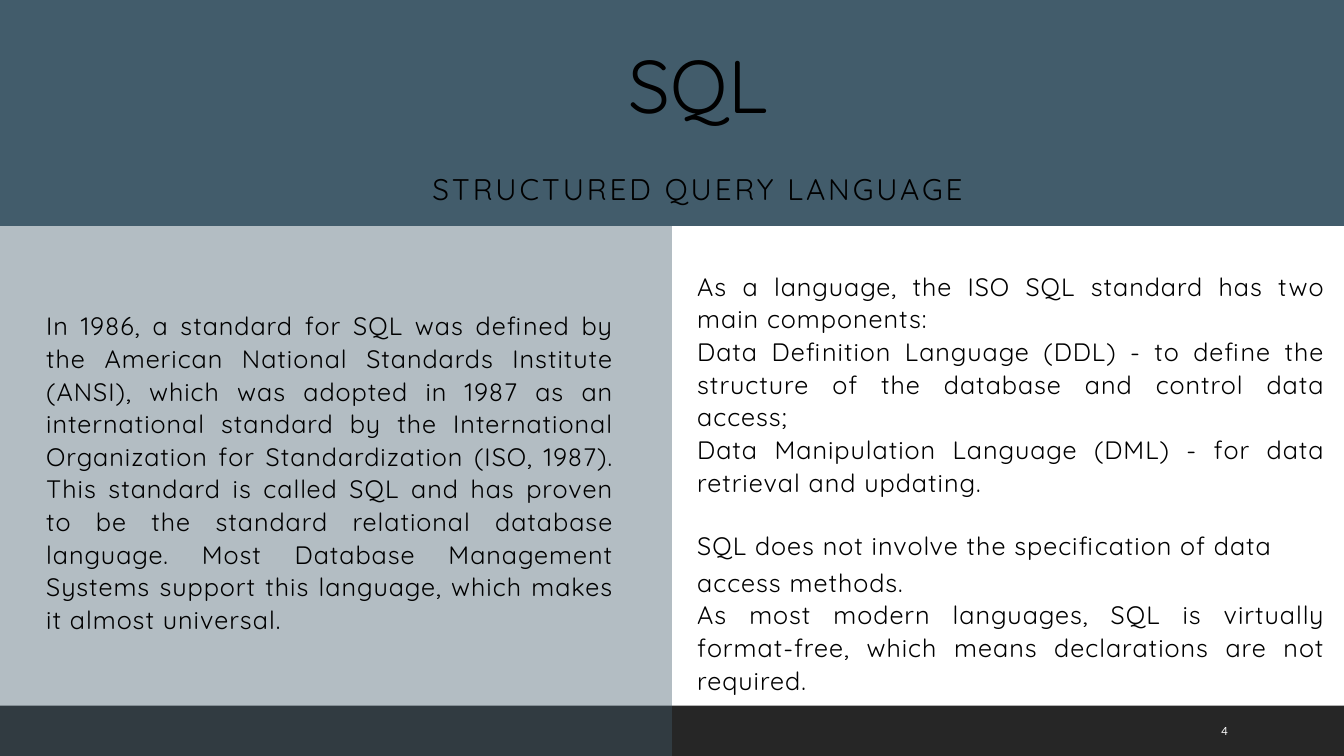
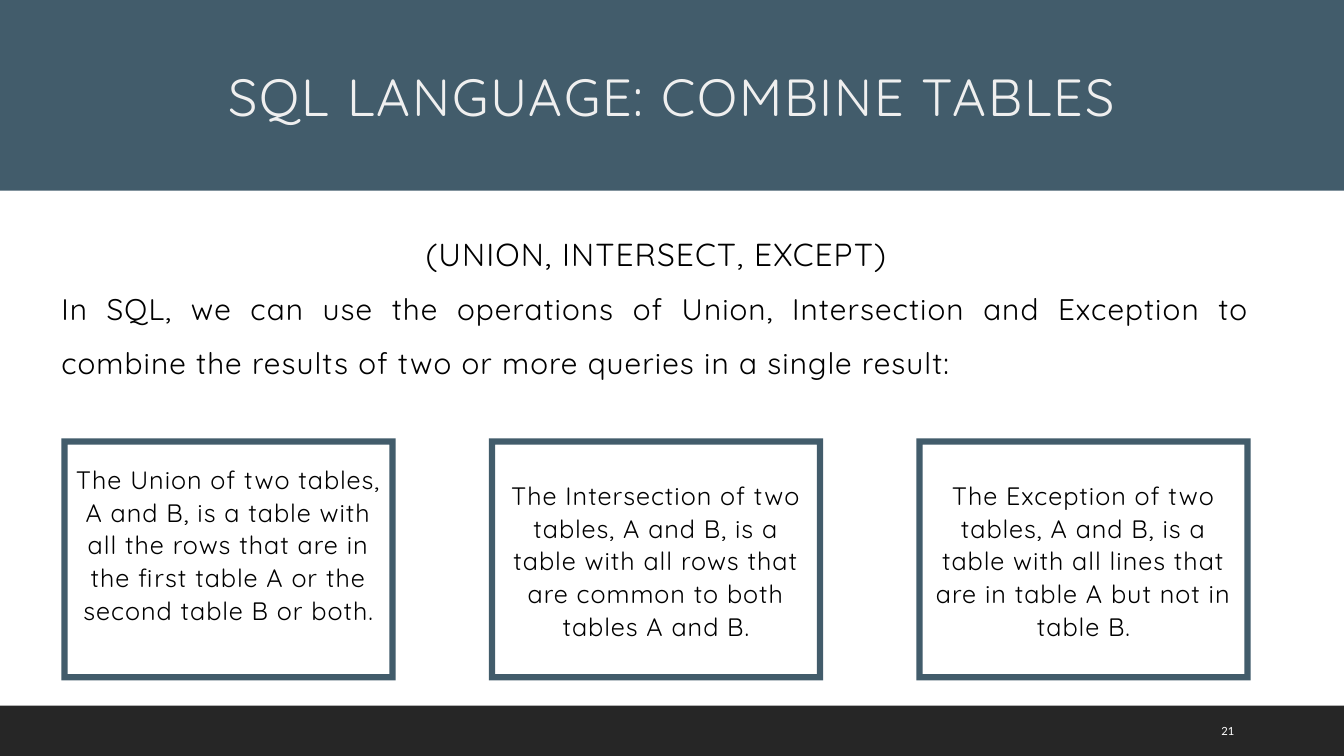
from pptx import Presentation
from pptx.dml.color import RGBColor
from pptx.enum.shapes import MSO_SHAPE
from pptx.enum.text import MSO_ANCHOR, PP_ALIGN
from pptx.util import Inches, Pt

RECT, FRAME = MSO_SHAPE.RECTANGLE, MSO_SHAPE.FRAME
TOP, MIDDLE = MSO_ANCHOR.TOP, MSO_ANCHOR.MIDDLE
LEFT, CENTER, JUSTIFY = PP_ALIGN.LEFT, PP_ALIGN.CENTER, PP_ALIGN.JUSTIFY

SLATE = RGBColor(0x42, 0x5C, 0x6B)
DARK = RGBColor(0x26, 0x26, 0x26)
BLACK = RGBColor(0x00, 0x00, 0x00)
WHITE = RGBColor(0xFF, 0xFF, 0xFF)
PALE = RGBColor(0xEF, 0xEF, 0xEF)
FONT, NUMBER_FONT = "Quicksand", "Lato"

COLS, ROWS = 160, 90
FOOTER_ROW = 84

prs = Presentation()
prs.slide_width, prs.slide_height = Inches(13.33), Inches(7.5)
COL, ROW = prs.slide_width / COLS, prs.slide_height / ROWS
blank = prs.slide_layouts[6]


def add_block(s, kind, x, y, w, h, color):
    sp = s.shapes.add_shape(kind, int(x * COL), int(y * ROW), int(w * COL), int(h * ROW))
    sp.shadow.inherit = False
    sp.fill.solid()
    sp.fill.fore_color.rgb = color
    sp.line.fill.background()
    return sp


def add_text(s, x, y, w, h, paragraphs, color=BLACK, font=FONT, anchor=TOP):
    sp = s.shapes.add_textbox(int(x * COL), int(y * ROW), int(w * COL), int(h * ROW))
    tf = sp.text_frame
    tf.word_wrap = True
    tf.vertical_anchor = anchor
    tf.margin_left = tf.margin_right = tf.margin_top = tf.margin_bottom = 0
    for i, (text, size, align, leading, tracking) in enumerate(paragraphs):
        p = tf.add_paragraph() if i else tf.paragraphs[0]
        p.text = text
        p.alignment = align
        p.line_spacing = leading
        r = p.runs[0]
        r.font.size = Pt(size)
        r.font.name = font
        r.font.color.rgb = color
        r._r.get_or_add_rPr().set("spc", str(int(tracking * 100)))


BODY = (18, JUSTIFY, Pt(23.3), 0.7)
CARD = (18, CENTER, Pt(23.3), 0.7)

slides = []
for number, band_rows in ((4, 26.9), (21, 22.7)):
    s = prs.slides.add_slide(blank)
    add_block(s, RECT, 0, 0, COLS, band_rows, SLATE)
    slides.append(s)

footer = add_block(slides[0], RECT, 0, FOOTER_ROW, COLS, ROWS - FOOTER_ROW, DARK)
footer.element.nvSpPr.cNvPr.id = 20
prs.slide_master.element.cSld.spTree.append(footer.element)

s = slides[0]
panel = add_block(s, RECT, 0, 26.9, COLS / 2, ROWS - 26.9, SLATE)
clr = panel.fill._xPr.solidFill.srgbClr
clr.makeelement
alpha = clr.makeelement("{http://schemas.openxmlformats.org/drawingml/2006/main}alpha", {"val": "40000"})
clr.append(alpha)
add_text(s, 35.5, 4.6, 95.2, 10.8, [("SQL", 53.3, CENTER, Pt(64), 0)])
add_text(s, 35.5, 19.6, 95.2, 4.6, [("STRUCTURED QUERY LANGUAGE", 21.3, CENTER, Pt(29.9), 2.1)])
add_text(s, 5.5, 36.7, 67.6, 42.4, [(
    "In 1986, a standard for SQL was defined by the American National Standards Institute (ANSI), "
    "which was adopted in 1987 as an international standard by the International Organization for "
    "Standardization (ISO, 1987). This standard is called SQL and has proven to be the standard "
    "relational database language. Most Database Management Systems support this language, which "
    "makes it almost universal.", *BODY)])
add_text(s, 83, 32, 74.8, 26.9, [
    ("As a language, the ISO SQL standard has two main components:", *BODY),
    ("Data Definition Language (DDL) - to define the structure of the database and control data access;", *BODY),
    ("Data Manipulation Language (DML) - for data retrieval and updating.", *BODY)])
add_text(s, 83, 62.4, 74.8, 20, [
    ("SQL does not involve the specification of data access methods.", 18, LEFT, Pt(26.1), 0.7),
    ("As most modern languages, SQL is virtually format-free, which means declarations are not required.", *BODY)])

s = slides[1]
add_text(s, 7.3, 25.7, 141.6, 19, [
    ("(UNION, INTERSECT, EXCEPT)", 22.7, CENTER, 1.5, 0.8),
    ("In SQL, we can use the operations of Union, Intersection and Exception to combine the results "
     "of two or more queries in a single result:", 21.3, JUSTIFY, 1.5, 0.8)])
add_text(s, 0, 7.3, COLS, 7.3, [("SQL LANGUAGE: COMBINE TABLES", 37.3, CENTER, Pt(46.7), 1.3)], PALE)

CARD_W, CARD_H, CARD_STEP = 39.8, 28.8, 50.9
cards = (
    ("The Union of two tables, A and B, is a table with all the rows that are in the first table A "
     "or the second table B or both.", 55, 37.2),
    ("The Intersection of two tables, A and B, is a table with all rows that are common to both "
     "tables A and B.", 56.9, 35.6),
    ("The Exception of two tables, A and B, is a table with all lines that are in table A but not "
     "in table B.", 56.9, 36),
)
for i, (text, y, w) in enumerate(cards):
    x = 7.3 + i * CARD_STEP
    sp = add_block(s, FRAME, x, 52.2, CARD_W, CARD_H, SLATE)
    sp.adjustments[0] = 0.026
    add_text(s, x + (CARD_W - w) / 2, y, w, 20, [(text, *CARD)])

for s, number in zip(slides, ("4", "21")):
    add_text(s, 145.4, 84.6, 7.8, 4.8, [(number, 8, LEFT, 1.0, 0)], WHITE, NUMBER_FONT, MIDDLE)

prs.save("out.pptx")
